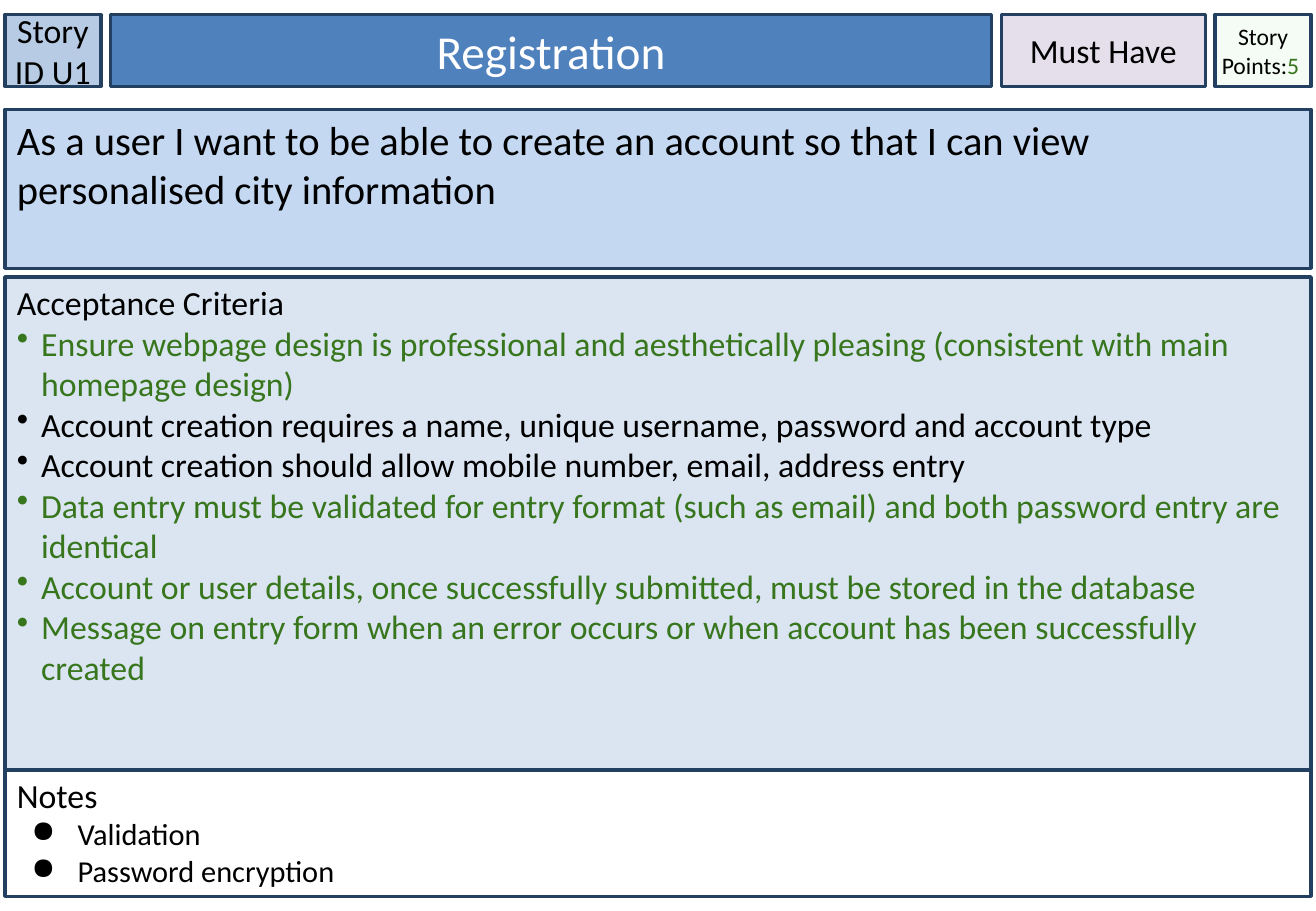
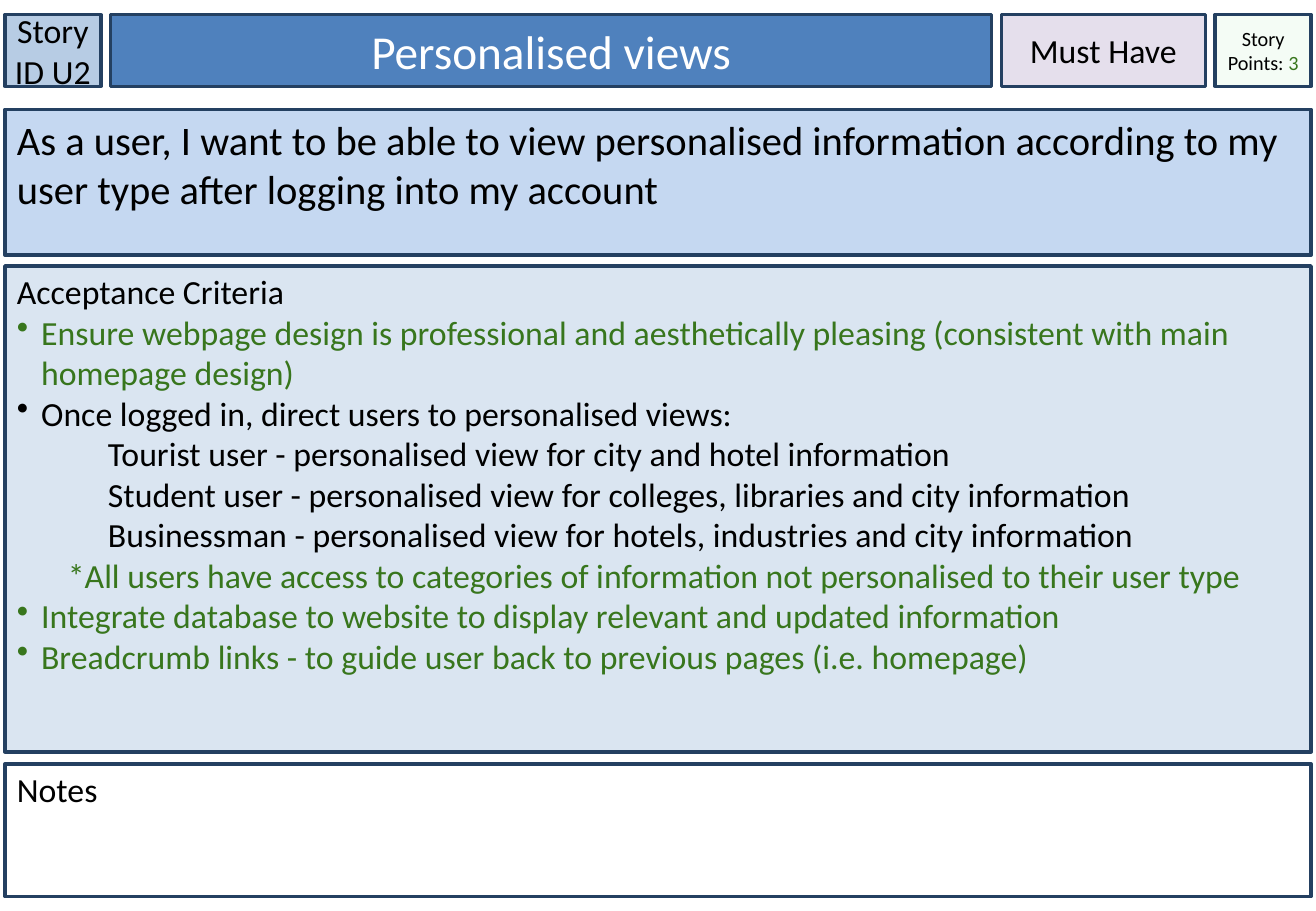
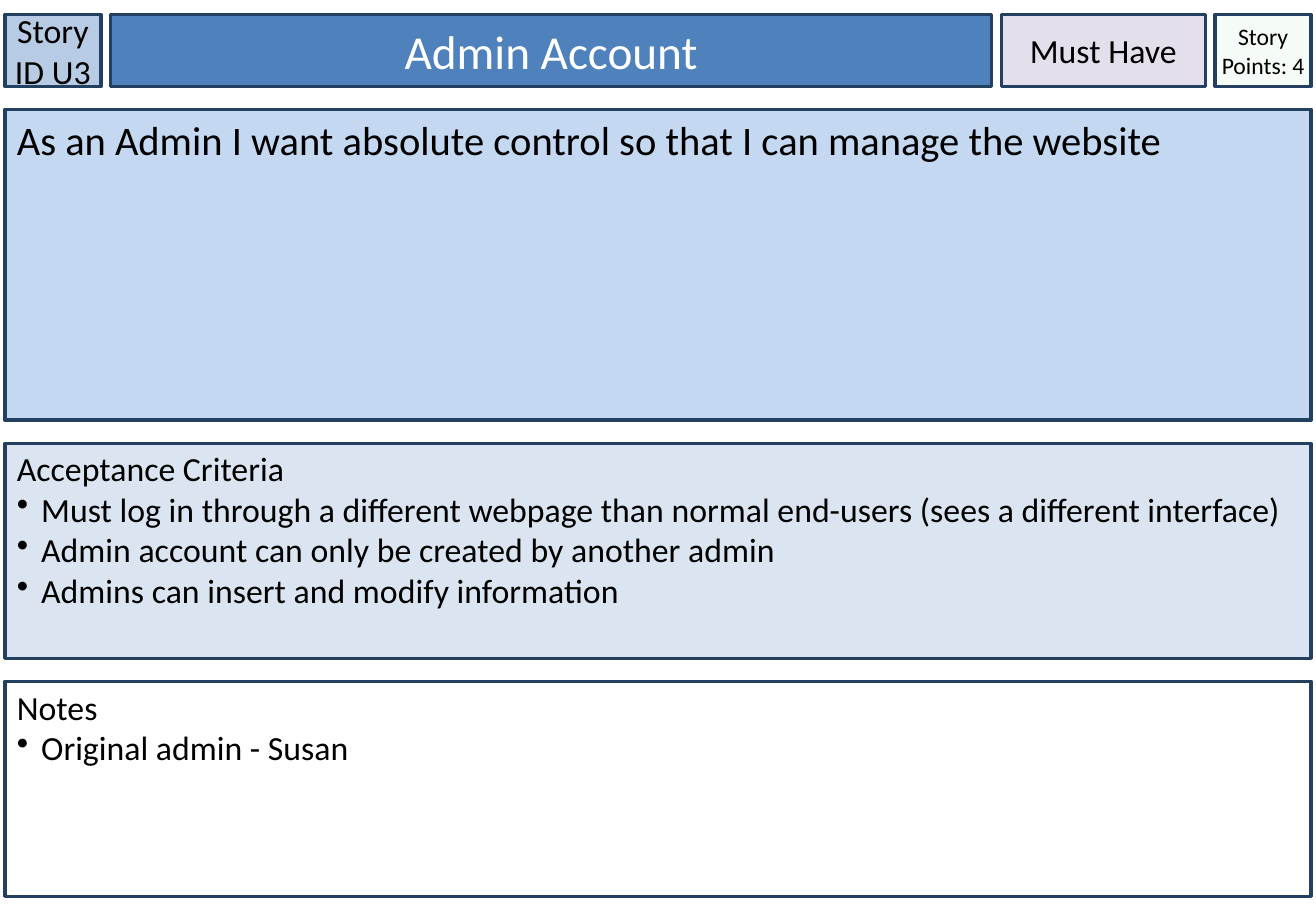
from lxml import etree
from pptx import Presentation
from pptx.dml.color import RGBColor
from pptx.enum.shapes import MSO_SHAPE
from pptx.enum.text import MSO_ANCHOR, MSO_AUTO_SIZE, PP_ALIGN
from pptx.oxml.ns import qn
from pptx.util import Inches, Pt

RECTANGLE = MSO_SHAPE.RECTANGLE
TOP, MIDDLE = MSO_ANCHOR.TOP, MSO_ANCHOR.MIDDLE
LEFT, CENTER = PP_ALIGN.LEFT, PP_ALIGN.CENTER
NO_AUTOFIT = MSO_AUTO_SIZE.NONE

# Shared look
FONT = "Calibri"
BLACK = RGBColor(0x00, 0x00, 0x00)
WHITE = RGBColor(0xFF, 0xFF, 0xFF)
GREEN = RGBColor(0x38, 0x76, 0x1D)
NAVY = RGBColor(0x24, 0x40, 0x61)
ID_BLUE = RGBColor(0xB7, 0xCC, 0xE4)
TITLE_BLUE = RGBColor(0x4F, 0x81, 0xBD)
STORY_BLUE = RGBColor(0xC5, 0xD8, 0xF1)
CRITERIA_BLUE = RGBColor(0xDA, 0xE5, 0xF1)
PRIORITY_LILAC = RGBColor(0xE5, 0xDF, 0xEC)
POINTS_GREEN = RGBColor(0xCC, 0xF0, 0xCD)

HEADER_TOP, HEADER_HEIGHT = 0.12, 0.59
PANEL_LEFT, PANEL_WIDTH = 0.04, 10.75
STORY_TOP, PANEL_BOTTOM = 0.9, 7.38

# Paragraph styles
POINT = dict(bullet="•", indent=0.2, hanging=0.2)
DONE = dict(POINT, color=GREEN)
SUBPOINT = dict(level=1, indent=1, hanging=0.25)
REMARK = dict(indent=0.5, hanging=0.08, color=GREEN)
SMALL_POINT = dict(bullet="●", indent=0.5, hanging=0.38, size=18)

WEBPAGE_DESIGN = ("Ensure webpage design is professional and aesthetically pleasing "
                  "(consistent with main homepage design)", DONE)

stories = [
    dict(
        id="U1", title="Registration",
        points="5 ", points_size=14, points_color=GREEN, points_label="Story Points:",
        story="As a user I want to be able to create an account so that I can view "
              "personalised city information",
        story_height=1.31, criteria_top=2.28, criteria_height=4.06, notes_top=6.34,
        criteria=[
            WEBPAGE_DESIGN,
            ("Account creation requires a name, unique username, password and account type", POINT),
            ("Account creation should allow mobile number, email, address entry", POINT),
            ("Data entry must be validated for entry format (such as email) and both "
             "password entry are identical", DONE),
            ("Account or user details, once successfully submitted, must be stored in "
             "the database", DONE),
            ("Message on entry form when an error occurs or when account has been "
             "successfully created", DONE),
        ],
        notes=[("Validation", SMALL_POINT), ("Password encryption", SMALL_POINT)],
    ),
    dict(
        id="U2", title="Personalised views",
        points="3", points_size=12, points_color=GREEN, points_label="Story Points: ",
        story="As a user, I want to be able to view personalised information according "
              "to my user type after logging into my account",
        story_height=1.2, criteria_top=2.19, criteria_height=4, notes_top=6.29,
        criteria=[
            WEBPAGE_DESIGN,
            ("Once logged in, direct users to personalised views:", POINT),
            ("Tourist user - personalised view for city and hotel information", SUBPOINT),
            ("Student user - personalised view for colleges, libraries and city information",
             SUBPOINT),
            ("Businessman - personalised view for hotels, industries and city information",
             SUBPOINT),
            ("*All users have access to categories of information not personalised to "
             "their user type", REMARK),
            ("Integrate database to website to display relevant and updated information", DONE),
            ("Breadcrumb links - to guide user back to previous pages (i.e. homepage)", DONE),
        ],
        notes=[],
    ),
    dict(
        id="U3", title="Admin Account",
        points="4", points_size=14, points_color=BLACK, points_label="Story Points: ",
        story="As an Admin I want absolute control so that I can manage the website",
        story_height=2.56, criteria_top=3.65, criteria_height=1.77, notes_top=5.61,
        criteria=[
            ("Must log in through a different webpage than normal end-users "
             "(sees a different interface)", POINT),
            ("Admin account can only be created by another admin", POINT),
            ("Admins can insert and modify information", POINT),
        ],
        notes=[("Original admin - Susan", POINT)],
    ),
]


def style_box(box, fill, anchor=TOP, side=0.1, top=0.05):
    """Give a box its fill, outline and text margins; return its text frame."""
    box.fill.solid()
    box.fill.fore_color.rgb = fill
    box.line.color.rgb = NAVY
    box.line.width = Pt(2)
    frame = box.text_frame
    frame.word_wrap = True
    frame.auto_size = NO_AUTOFIT
    frame.vertical_anchor = anchor
    frame.margin_left = frame.margin_right = Inches(side)
    frame.margin_top, frame.margin_bottom = Inches(top), Inches(0.05)
    return frame


def write(frame, text, size=20, color=BLACK, align=LEFT, bullet=None,
          indent=0, hanging=0, level=0, same_line=False):
    """Add text as a new paragraph, or to the last one if same_line is set."""
    if frame.text and not same_line:
        frame.add_paragraph()
    paragraph = frame.paragraphs[-1]
    paragraph.alignment = align
    paragraph.level = level
    run = paragraph.add_run()
    run.text = text
    run.font.name = FONT
    run.font.size = Pt(size)
    run.font.color.rgb = color
    if indent:
        properties = paragraph._p.get_or_add_pPr()
        properties.set("marL", str(Inches(indent)))
        properties.set("indent", str(-Inches(hanging)))
        if bullet:
            etree.SubElement(properties, qn("a:buChar")).set("char", bullet)


prs = Presentation()
prs.slide_width, prs.slide_height = Inches(10.83), Inches(7.5)
title_only = prs.slide_layouts[5]

for card in stories:
    slide = prs.slides.add_slide(title_only)

    # Title band
    title = slide.shapes.title
    title.left, title.top = Inches(0.91), Inches(HEADER_TOP)
    title.width, title.height = Inches(7.25), Inches(HEADER_HEIGHT)
    write(style_box(title, TITLE_BLUE, MIDDLE), card["title"],
          size=28, color=WHITE, align=CENTER)

    # Small header boxes: story id, priority, story points
    header_frames = []
    for left, width, fill in [(0.04, 0.79, ID_BLUE),
                              (8.24, 1.68, PRIORITY_LILAC),
                              (10, 0.79, POINTS_GREEN)]:
        box = slide.shapes.add_shape(RECTANGLE, Inches(left), Inches(HEADER_TOP),
                                     Inches(width), Inches(HEADER_HEIGHT))
        box.shadow.inherit = False
        header_frames.append(style_box(box, fill, MIDDLE, side=0))
        if fill == POINTS_GREEN:
            fill_color = box._element.spPr.find(qn("a:solidFill")).find(qn("a:srgbClr"))
            etree.SubElement(fill_color, qn("a:alpha")).set("val", "20000")
    story_id, priority, points = header_frames
    write(story_id, "Story ID " + card["id"], align=CENTER)
    write(priority, "Must Have", align=CENTER)
    write(points, card["points_label"], size=card["points_size"], align=CENTER)
    write(points, card["points"], size=card["points_size"], color=card["points_color"],
          align=CENTER, same_line=True)

    # Full-width panels: story, acceptance criteria, notes
    notes_height = PANEL_BOTTOM - card["notes_top"]
    for top, height, fill, inset, lines in [
        (STORY_TOP, card["story_height"], STORY_BLUE, 0.05,
         [(card["story"], dict(size=24))]),
        (card["criteria_top"], card["criteria_height"], CRITERIA_BLUE, 0.04,
         [("Acceptance Criteria", {})] + card["criteria"]),
        (card["notes_top"], notes_height, WHITE, 0.04,
         [("Notes", {})] + card["notes"]),
    ]:
        panel = slide.shapes.add_shape(RECTANGLE, Inches(PANEL_LEFT), Inches(top),
                                       Inches(PANEL_WIDTH), Inches(height))
        panel.shadow.inherit = False
        frame = style_box(panel, fill, top=inset)
        for text, text_format in lines:
            write(frame, text, **text_format)

prs.save("out.pptx")
